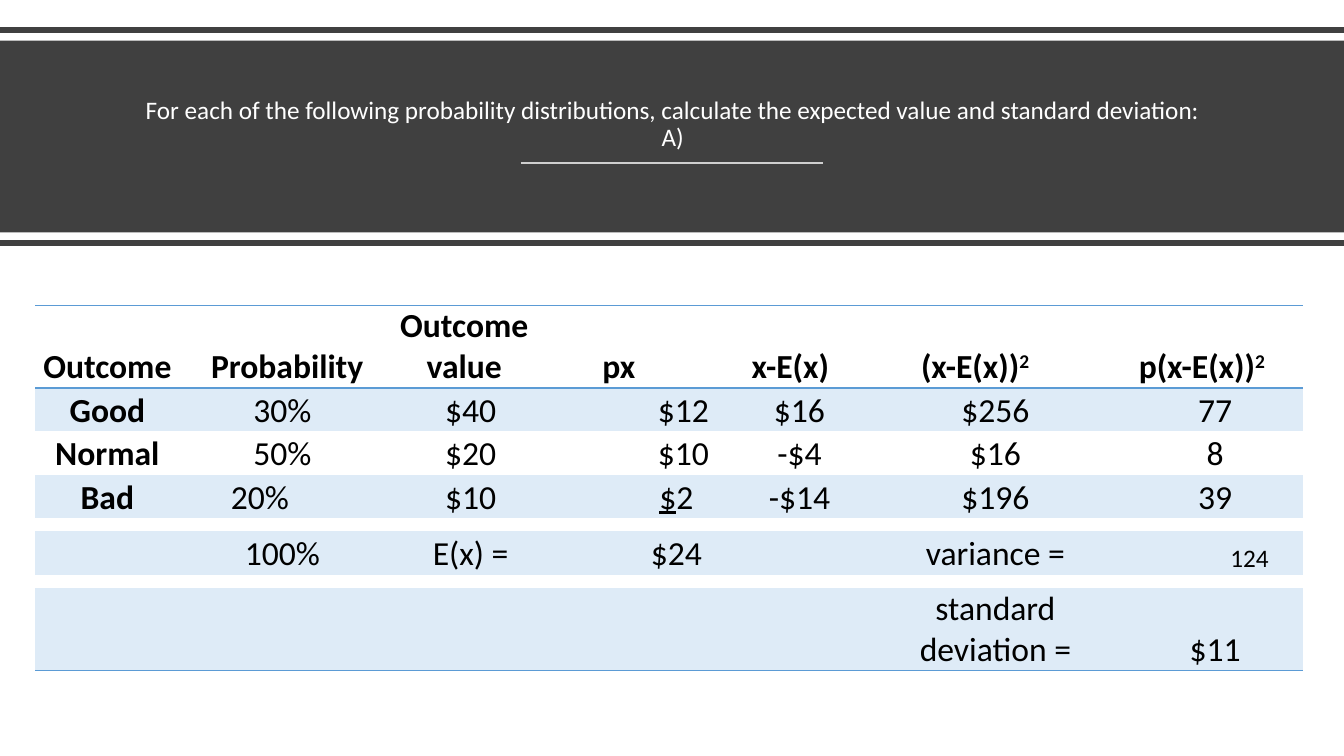
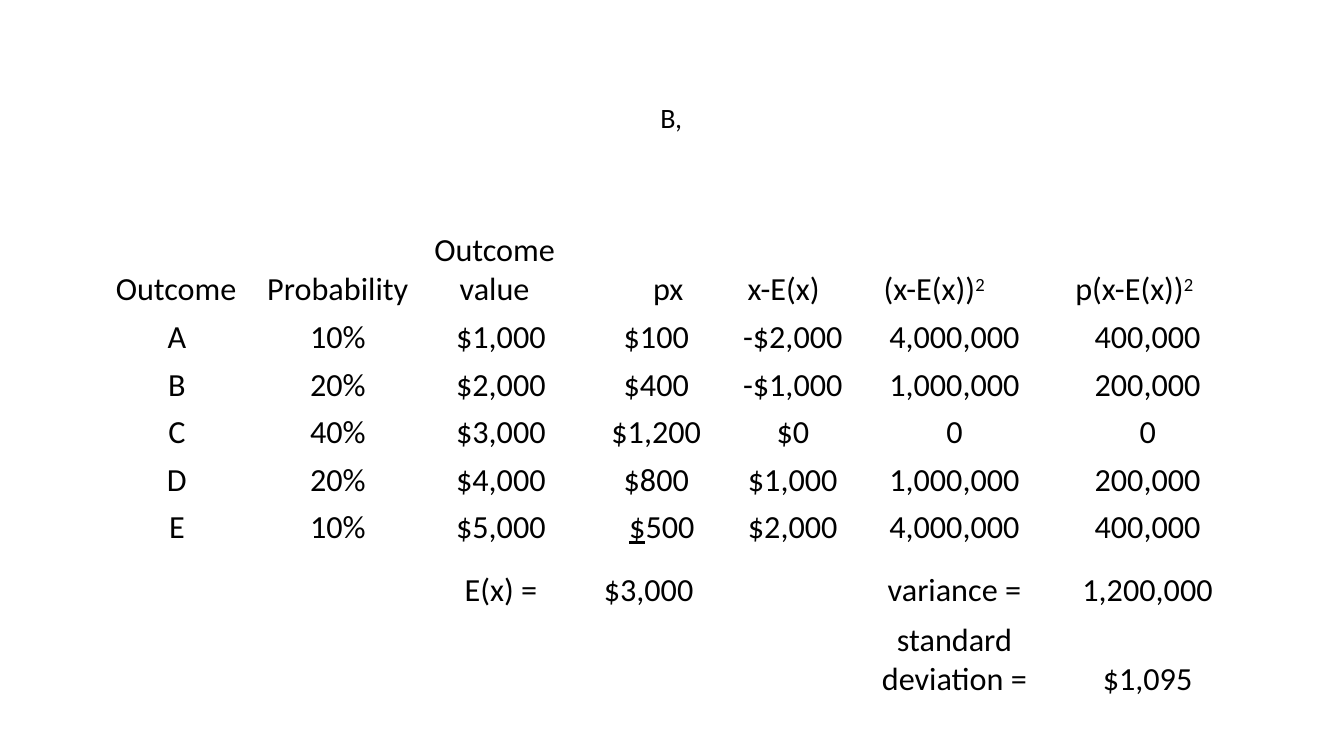
from lxml.etree import SubElement
from pptx import Presentation
from pptx.dml.color import RGBColor
from pptx.enum.shapes import MSO_CONNECTOR, MSO_SHAPE
from pptx.enum.text import MSO_ANCHOR, PP_ALIGN
from pptx.oxml.ns import qn
from pptx.util import Pt

WHITE = RGBColor(0xFF, 0xFF, 0xFF)
BLACK = RGBColor(0, 0, 0)
CHARCOAL = RGBColor(0x40, 0x40, 0x40)
PALE_GREY = RGBColor(0xCF, 0xCF, 0xCF)
BLUE = RGBColor(0x5B, 0x9B, 0xD5)
PALE_BLUE = RGBColor(0xDE, 0xEB, 0xF7)
FONT = "Calibri"
PLAIN_TABLE = "{2D5ABB26-0587-4C30-8999-92F81FD0307C}"

# A bar sets off the superscript in a heading and the underlined part in a value.
HEADINGS = ["Outcome", "Probability", "Outcome value", "px", "x-E(x)",
            "(x-E(x))|2", "p(x-E(x))|2"]
HEADING_RIGHT_INSETS = [0, 0, 16, 0, 19, 36, 19]
VALUE_RIGHT_INSETS = [0, 0, 7, 7, 6, 7, 0]

# A place is (first column, columns spanned) for each of the seven fields.
# A row is (height, texts, {field: other place}).
TABLES = [
    {
        "title": "For each of the following probability distributions, "
                 "calculate the expected value and standard deviation:\vA)",
        "title_box": (42, 39, 877, 73), "title_size": 18,
        "title_color": WHITE, "title_anchor": MSO_ANCHOR.BOTTOM, "space_before": 0,
        "left": 25.2, "top": 218.2, "size": 24, "styled": True,
        "columns": [102, 46, 46, 45, 151, 44, 24, 24, 17, 100, 181, 49, 37, 40],
        "places": [(0, 1), (1, 3), (4, 1), (6, 3), (9, 1), (10, 1), (11, 3)],
        "heading_left": [1, 19, 0, 10, 0, 0, 0],
        "value_left": [1, 12, 0, 0, 0, 0, 0],
        "rows": [
            (59, HEADINGS, {3: (5, 1)}),
            (31, ["Good", "30%", "$40", "$12", "$16", "$256", "77"], {}),
            (31, ["Normal", "50%", "$20", "$10", "-$4", "$16", "8"], {}),
            (31, ["Bad", "20%", "$10", "$|2", "-$14", "$196", "39"],
             {1: (1, 2), 3: (6, 2)}),
            (9.4, [""] * 7, {}),
            (31, ["", "100%", "E(x) =", "$24", "", "variance =", "124"],
             {3: (6, 2), 6: (12, 2)}),
            (9.4, [""] * 7, {}),
            (59, [""] * 5 + ["standard deviation =", "$11"], {}),
        ],
        "left_exceptions": {(3, 1): 25},
        "size_exceptions": {(5, 6): 18},
    },
    {
        "title": "B,",
        "title_box": (79, 55, 801, 60), "title_size": 20,
        "title_color": BLACK, "title_anchor": MSO_ANCHOR.MIDDLE, "space_before": 10,
        "left": 73.4, "top": 157.7, "size": 23, "styled": False,
        "columns": [104, 123, 122, 19, 63, 18, 94, 138, 68, 63],
        "places": [(0, 1), (1, 1), (2, 1), (3, 3), (6, 1), (7, 1), (8, 2)],
        "heading_left": [1, 5, 0, 10, 0, 0, 0],
        "value_left": [2, 5, 0, 0, 0, 0, 0],
        "rows": [
            (63.5, HEADINGS, {}),
            (34, ["A", "10%", "$1,000", "$100", "-$2,000", "4,000,000", "400,000"], {}),
            (34, ["B", "20%", "$2,000", "$400", "-$1,000", "1,000,000", "200,000"], {}),
            (34, ["C", "40%", "$3,000", "$1,200", "$0", "0", "0"], {}),
            (34, ["D", "20%", "$4,000", "$800", "$1,000", "1,000,000", "200,000"], {}),
            (34, ["E", "10%", "$5,000", "$|500", "$2,000", "4,000,000", "400,000"],
             {3: (4, 1)}),
            (11, [""] * 7, {}),
            (34, ["", "", "E(x) =", "$3,000", "", "variance =", "1,200,000"],
             {3: (3, 2)}),
            (63.5, [""] * 5 + ["standard deviation =", "$1,095"], {}),
        ],
        "left_exceptions": {},
        "size_exceptions": {},
    },
]


def add_rule(page, left, right, top, color, width):
    line = page.shapes.add_connector(
        MSO_CONNECTOR.STRAIGHT, Pt(left), Pt(top), Pt(right), Pt(top))
    line.line.color.rgb = color
    line.line.width = Pt(width)
    SubElement(line._element.spPr, qn("a:effectLst"))


def add_border(cell, side):
    """Draw a thin blue border; side is lnT or lnB, in that order."""
    properties = cell._tc.get_or_add_tcPr()
    border = SubElement(properties, qn("a:" + side), w=str(Pt(1)))
    fill = SubElement(border, qn("a:solidFill"))
    SubElement(fill, qn("a:srgbClr"), val=str(BLUE))


deck = Presentation()
deck.slide_width, deck.slide_height = Pt(960), Pt(540)
pages = [deck.slides.add_slide(deck.slide_layouts[6]) for _ in TABLES]

# Title band of the first page
add_rule(pages[0], 0, 960, 21.6, CHARCOAL, 4)
band = pages[0].shapes.add_shape(MSO_SHAPE.RECTANGLE, 0, Pt(29), Pt(960), Pt(137))
band.shadow.inherit = False
band.fill.solid()
band.fill.fore_color.rgb = CHARCOAL
band.line.fill.background()
add_rule(pages[0], 372, 588, 116.5, PALE_GREY, 1.5)
add_rule(pages[0], 0, 960, 173.5, CHARCOAL, 4)

for page, content in zip(pages, TABLES):
    box = page.shapes.add_textbox(*[Pt(length) for length in content["title_box"]])
    frame = box.text_frame
    frame.word_wrap = True
    frame.vertical_anchor = content["title_anchor"]
    frame.text = content["title"]
    para = frame.paragraphs[0]
    para.alignment = PP_ALIGN.CENTER
    para.line_spacing = 0.9
    para.space_before = Pt(content["space_before"])
    for span in para.runs:
        span.font.name = FONT
        span.font.size = Pt(content["title_size"])
        span.font.color.rgb = content["title_color"]

    rows, columns = content["rows"], content["columns"]
    table = page.shapes.add_table(
        len(rows), len(columns), Pt(content["left"]), Pt(content["top"]),
        Pt(sum(columns)), Pt(sum(row[0] for row in rows))).table
    table.first_row = table.horz_banding = False
    table._tbl.tblPr[0].text = PLAIN_TABLE
    for column, width in zip(table.columns, columns):
        column.width = Pt(width)

    for row_index, (height, texts, moved) in enumerate(rows):
        table.rows[row_index].height = Pt(height)
        is_heading = row_index == 0
        lefts = content["heading_left"] if is_heading else content["value_left"]
        rights = HEADING_RIGHT_INSETS if is_heading else VALUE_RIGHT_INSETS

        for cell in table.rows[row_index].cells:
            cell.margin_left = cell.margin_right = 0
            cell.margin_top = cell.margin_bottom = 0
            cell.vertical_anchor = MSO_ANCHOR.BOTTOM
            if content["styled"] and is_heading:
                add_border(cell, "lnT")
            if content["styled"] and row_index in (0, len(rows) - 1):
                add_border(cell, "lnB")
            if content["styled"] and row_index % 2:
                cell.fill.solid()
                cell.fill.fore_color.rgb = PALE_BLUE
            else:
                cell.fill.background()
            SubElement(cell.text_frame.paragraphs[0]._p, qn("a:endParaRPr"), sz="600")

        for field, text in enumerate(texts):
            if not text:
                continue
            first, width = moved.get(field, content["places"][field])
            cell = table.cell(row_index, first)
            if width > 1:
                cell.merge(table.cell(row_index, first + width - 1))
            left = content["left_exceptions"].get((row_index, field), lefts[field])
            cell.margin_left = Pt(left)
            # Values moved to a narrower place are centred in it.
            cell.margin_right = Pt(0 if field in moved else rights[field])
            para = cell.text_frame.paragraphs[0]
            para.alignment = PP_ALIGN.CENTER
            size = content["size_exceptions"].get((row_index, field), content["size"])
            parts = text.split("|")
            for part_index, part in enumerate(parts):
                span = para.add_run()
                span.text = part
                span.font.name = FONT
                span.font.size = Pt(size)
                span.font.color.rgb = BLACK
                span.font.bold = content["styled"] and (is_heading or field == 0)
                if is_heading and part_index == 1:
                    span.font._element.set("baseline", "30000")
                elif not is_heading and len(parts) == 2 and part_index == 0:
                    span.font.underline = True

deck.save("out.pptx")
